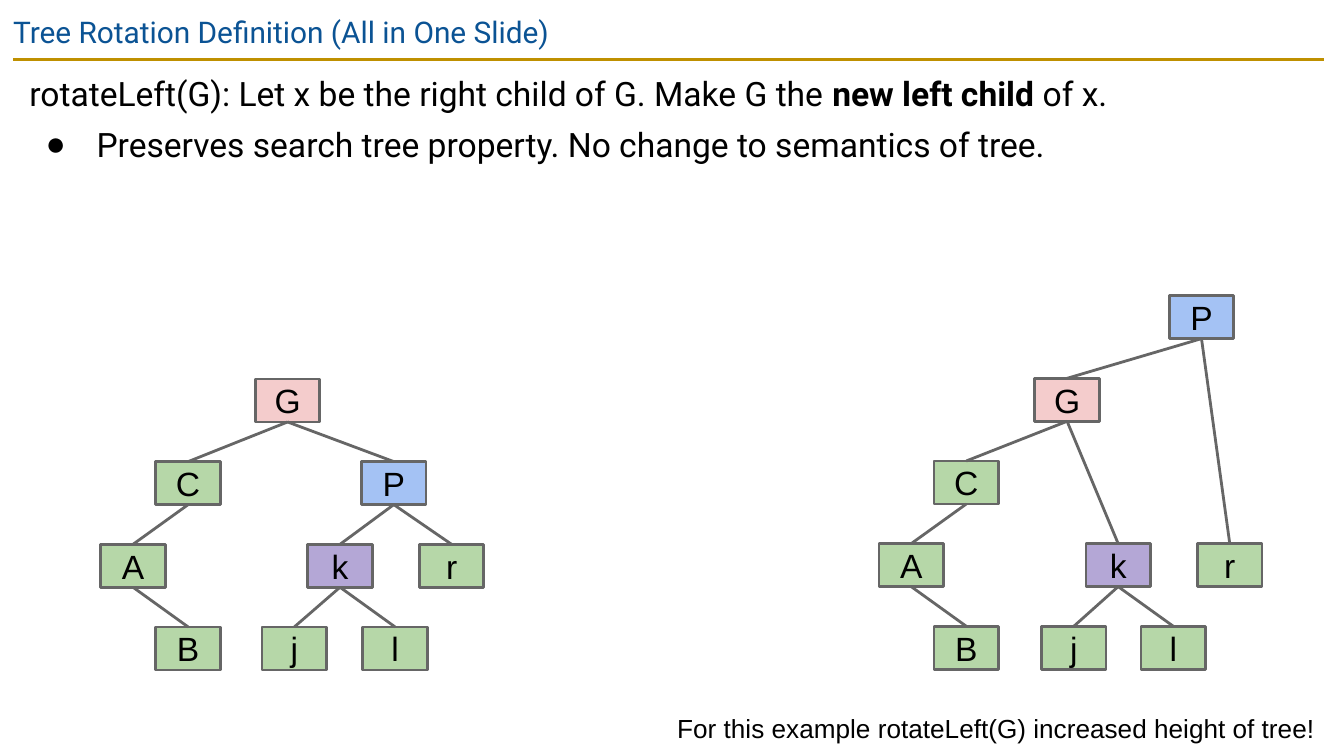
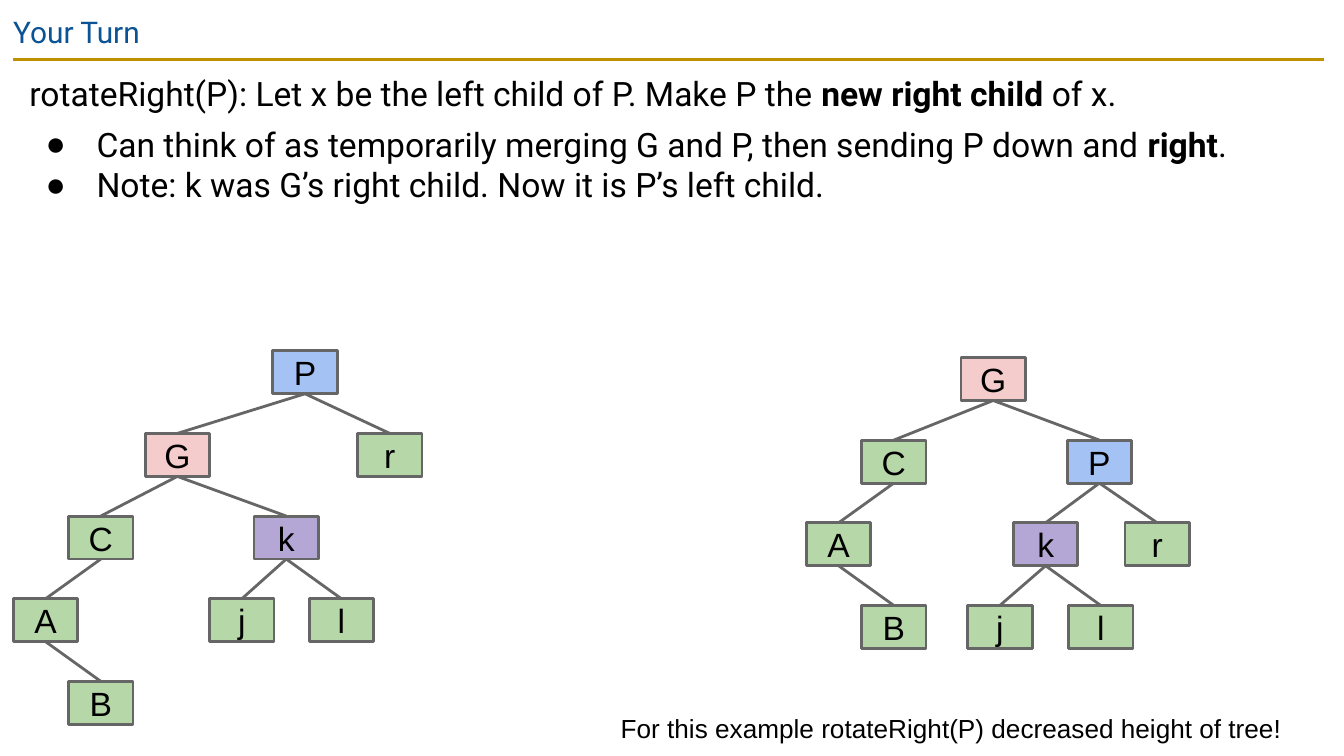
from lxml.etree import SubElement
from pptx import Presentation
from pptx.dml.color import RGBColor
from pptx.enum.shapes import MSO_CONNECTOR as Connector, MSO_SHAPE as Shape
from pptx.enum.text import MSO_ANCHOR as Anchor, PP_ALIGN as Align
from pptx.oxml.ns import qn
from pptx.util import Pt

PX = 9144  # 100 px to the inch
SLIDE_W = 1000
SLIDE_H = SLIDE_W * 9 / 16
INSET = 10
NODE_W, NODE_H, ROW_PITCH = 48, 32, 61.5
COLORS = {
    "title": "0B5394", "rule": "BF9000", "text": "000000", "edge": "666666",
    "G": "F4CCCC", "P": "A4C2F4", "k": "B4A7D6", "other": "B6D7A8",
}

# Each tree maps a node to (parent, left offset, row).
BALANCED = {
    "G": (None, 115, 0), "C": ("G", 41, 1), "P": ("G", 194, 1),
    "A": ("C", 0, 2), "k": ("P", 154, 2), "r": ("P", 237, 2),
    "B": ("A", 41, 3), "j": ("k", 120, 3), "l": ("k", 195, 3),
}
ROTATED_LEFT = {
    "P": (None, 216, 0), "G": ("P", 116, 1), "C": ("G", 41, 2),
    "A": ("C", 0, 3), "k": ("G", 154, 3), "r": ("P", 237, 3),
    "B": ("A", 41, 4), "j": ("k", 121, 4), "l": ("k", 195, 4),
}
P_ROOTED = {
    "P": (None, 193, 0), "G": ("P", 98, 1), "r": ("P", 256, 1),
    "C": ("G", 41, 2), "k": ("G", 179, 2),
    "A": ("C", 0, 3), "j": ("k", 146, 3), "l": ("k", 220, 3),
    "B": ("A", 41, 4),
}


def emu(*lengths):
    return [round(length * PX) for length in lengths]


def rgb(name):
    return RGBColor.from_string(COLORS[name])


def set_insets(frame):
    frame.word_wrap = True
    frame.margin_left = frame.margin_right = INSET * PX
    frame.margin_top = frame.margin_bottom = INSET * PX


def add_run(paragraph, text, size, font, color="text", bold=False):
    run = paragraph.add_run()
    run.text = text
    run.font.size, run.font.name, run.font.bold = Pt(size), font, bold
    run.font.color.rgb = rgb(color)


def add_text_frame(slide, box):
    frame = slide.shapes.add_textbox(*emu(*box)).text_frame
    set_insets(frame)
    return frame


def add_line(slide, color, start=(0, 0), end=(0, 0)):
    line = slide.shapes.add_connector(Connector.STRAIGHT, *emu(*start, *end))
    line.line.color.rgb = rgb(color)
    line.line.width = Pt(1.5)
    SubElement(line._element.spPr, qn("a:effectLst"))
    return line


def add_bullet(paragraph):
    props = paragraph._p.get_or_add_pPr()
    left, hanging = emu(50, -38)
    props.set("marL", str(left))
    props.set("indent", str(hanging))
    color = SubElement(props, qn("a:buClr"))
    SubElement(color, qn("a:srgbClr"), val=COLORS["text"])
    SubElement(props, qn("a:buFont"), typeface="Arial")
    SubElement(props, qn("a:buChar"), char="●")


def add_header(slide, title):
    add_line(slide, "rule", (10, 44), (985, 44))
    frame = add_text_frame(slide, (0, 0, 932, 43))
    add_run(frame.paragraphs[0], title, 16, "Roboto", "title")


def add_definition(slide, box, definition, bullets):
    """Each line is a list of text pieces; every second piece is bold."""
    frame = add_text_frame(slide, box)
    for index, pieces in enumerate([definition, *bullets]):
        paragraph = frame.add_paragraph() if index else frame.paragraphs[0]
        if index == 1:
            paragraph.space_before = Pt(6)
        if index:
            add_bullet(paragraph)
        for position, piece in enumerate(pieces):
            add_run(paragraph, piece, 18, "Roboto", bold=position % 2 == 1)


def add_node(slide, label, left, top):
    node = slide.shapes.add_shape(Shape.RECTANGLE, *emu(left, top, NODE_W, NODE_H))
    node.shadow.inherit = False
    node.fill.solid()
    node.fill.fore_color.rgb = rgb(label if label in COLORS else "other")
    node.line.color.rgb = rgb("edge")
    node.line.width = Pt(1.5)
    set_insets(node.text_frame)
    node.text_frame.vertical_anchor = Anchor.MIDDLE
    paragraph = node.text_frame.paragraphs[0]
    paragraph.alignment = Align.CENTER
    add_run(paragraph, label, 18, "Arial")
    return node


def add_tree(slide, left, top, tree):
    nodes = {
        label: add_node(slide, label, left + offset, top + row * ROW_PITCH)
        for label, (_, offset, row) in tree.items()
    }
    for label, (parent, _, _) in tree.items():
        if parent:
            edge = add_line(slide, "edge")
            edge.begin_connect(nodes[parent], 2)
            edge.end_connect(nodes[label], 0)


def add_caption(slide, left, text):
    frame = add_text_frame(slide, (left, 520, SLIDE_W - 1 - left, 45))
    add_run(frame.paragraphs[0], text, 14, "Arial")


def add_rotation_slide(deck, title, definition, bullets, trees, caption):
    slide = deck.slides.add_slide(deck.slide_layouts[6])
    add_header(slide, title)
    add_definition(slide, (12, 44, 932, 374), definition, bullets)
    for tree in trees:
        add_tree(slide, *tree)
    add_caption(slide, *caption)


def main():
    deck = Presentation()
    deck.slide_width, deck.slide_height = emu(SLIDE_W, SLIDE_H)
    add_rotation_slide(
        deck,
        "Tree Rotation Definition (All in One Slide)",
        ["rotateLeft(G): Let x be the right child of G. Make G the ",
         "new left child ", "of x."],
        [["Preserves search tree property. No change to semantics of tree."]],
        [(75, 282, BALANCED), (654, 220, ROTATED_LEFT)],
        (494, "For this example rotateLeft(G) increased height of tree!"),
    )
    add_rotation_slide(
        deck,
        "Your Turn",
        ["rotateRight(P): Let x be the left child of P. Make P the ",
         "new right child ", "of x."],
        [["Can think of as temporarily merging G and P, then sending P down and ",
          "right", "."],
         ["Note: k was G’s right child. Now it is P’s left child."]],
        [(10, 261, P_ROOTED), (600, 266, BALANCED)],
        (452, "For this example rotateRight(P) decreased height of tree!"),
    )
    deck.save("out.pptx")


if __name__ == "__main__":
    main()
